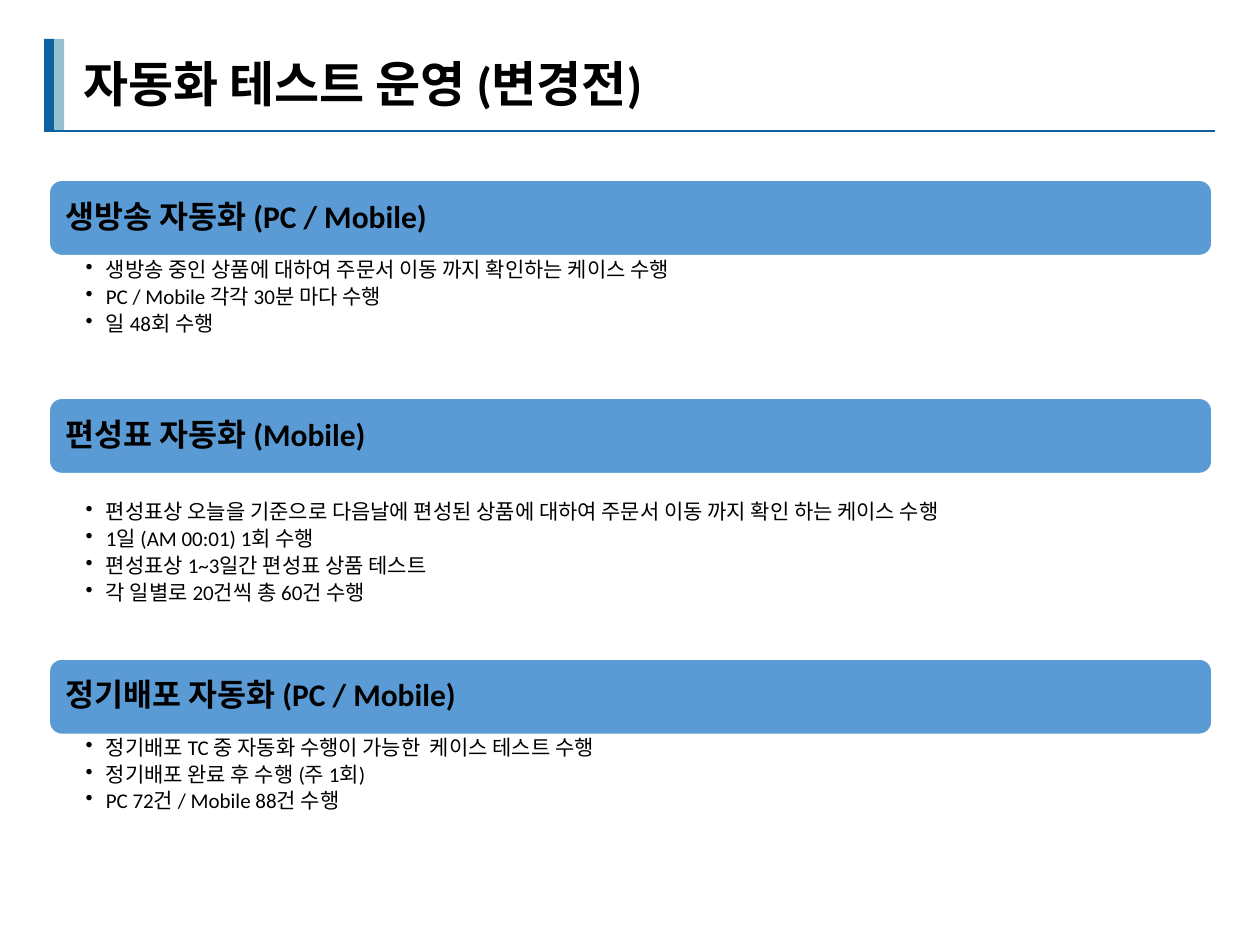
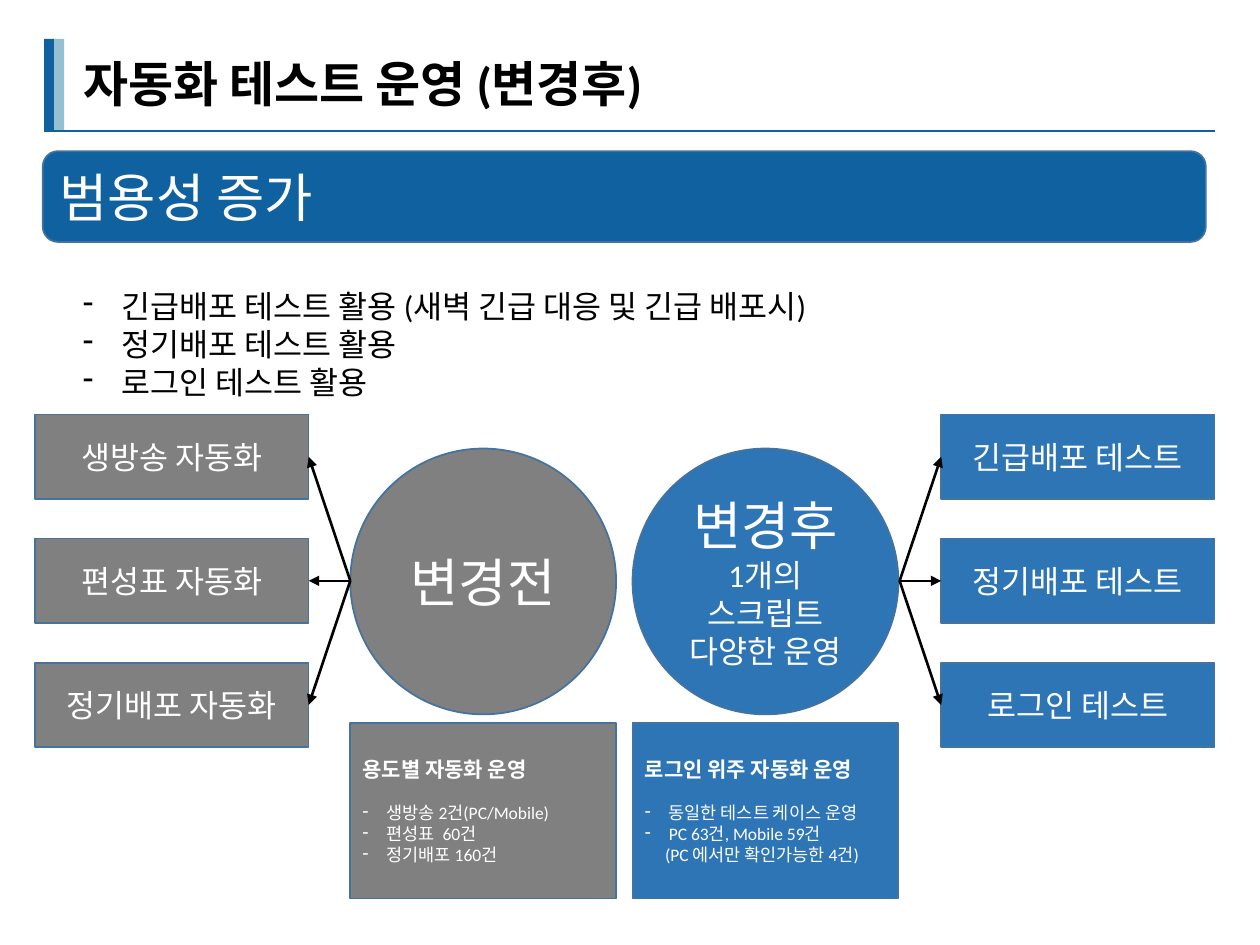
import pptx
import pptx.dml.color
import pptx.enum.shapes
import pptx.enum.text
import pptx.oxml.ns
import pptx.util
from lxml import etree

Inches = pptx.util.Inches
Pt = pptx.util.Pt
SHAPE = pptx.enum.shapes.MSO_SHAPE
ALIGN = pptx.enum.text.PP_ALIGN
qn = pptx.oxml.ns.qn

NAVY, PALE, SKY, BLUE = "0F619F", "96BFD1", "5B9BD5", "2E75B6"
GREY, EDGE, BLACK, WHITE = "808080", "43739E", "000000", "FFFFFF"

MIDDLE = {"vertical_anchor": pptx.enum.text.MSO_ANCHOR.MIDDLE}
CENTRED = {"alignment": ALIGN.CENTER}
TIGHT = {"line_spacing": 0.9}
TIGHT_LIST = {"line_spacing": 0.9, "space_after": Pt(2.4)}
LIST_MARGINS = {"margin_left": Inches(0.29), "margin_right": Inches(0.12),
                "margin_top": Inches(0.02), "margin_bottom": Inches(0.02)}


def rgb(code):
    """Turn a hex string into a colour."""
    return pptx.dml.color.RGBColor.from_string(code)


def apply(target, values):
    """Set every attribute named in a dict of format values."""
    for name, value in values.items():
        setattr(target, name, value)


class Deck:
    """Hold the shared style and the current slide."""

    font = "Calibri"

    def __init__(self):
        """Start an empty presentation of 10 by 7.5 inches."""
        self.file = pptx.Presentation()
        apply(self.file, {"slide_width": Inches(10), "slide_height": Inches(7.5)})
        self.slide = None

    def new_slide(self, heading):
        """Add a slide with its title, side bars and rule."""
        self.slide = self.file.slides.add_slide(self.file.slide_layouts[5])
        self.shape(SHAPE.RECTANGLE, (0.35, 0.31, 0.08, 0.73), NAVY)
        self.shape(SHAPE.RECTANGLE, (0.43, 0.31, 0.08, 0.73), PALE)
        self.line((0.35, 1.04), (9.64, 1.04), NAVY, 1.25)
        title = self.slide.shapes.title
        apply(title, dict(zip(("left", "top", "width", "height"),
                              map(Inches, (0.56, 0.34, 9.09, 0.69)))))
        apply(title.text_frame, {"auto_size": pptx.enum.text.MSO_AUTO_SIZE.NONE, **MIDDLE})
        self.add_lines(title.text_frame, [heading], 28, BLACK, True, TIGHT)

    def shape(self, kind, box, fill, edge=None):
        """Add a filled preset shape and return its text frame."""
        shape = self.slide.shapes.add_shape(kind, *map(Inches, box))
        shape.shadow.inherit = False
        shape.fill.solid()
        shape.fill.fore_color.rgb = rgb(fill)
        if edge:
            shape.line.color.rgb = rgb(edge)
            shape.line.width = Pt(1)
        else:
            shape.line.fill.background()
        apply(shape.text_frame, {"word_wrap": True, **MIDDLE})
        return shape.text_frame

    def text_box(self, box, values):
        """Add a wrapping text box and return its text frame."""
        frame = self.slide.shapes.add_textbox(*map(Inches, box)).text_frame
        apply(frame, {"word_wrap": True, **values})
        return frame

    def line(self, start, end, color, width, arrow=False):
        """Add a straight line, with an arrowhead at its end if asked."""
        line = self.slide.shapes.add_connector(
            pptx.enum.shapes.MSO_CONNECTOR.STRAIGHT, *map(Inches, start + end))
        line.line.color.rgb = rgb(color)
        line.line.width = Pt(width)
        properties = line._element.spPr
        if arrow:
            etree.SubElement(properties.find(qn("a:ln")), qn("a:tailEnd"), type="triangle")
        etree.SubElement(properties, qn("a:effectLst"))

    def add_lines(self, frame, lines, size, color, bold=False, layout=None, bullet=None, hang=0):
        """Append lines to a text frame, one paragraph each."""
        for text in lines:
            paragraph = frame.add_paragraph() if frame.text else frame.paragraphs[0]
            apply(paragraph, {"alignment": ALIGN.LEFT, **(layout or {})})
            run = paragraph.add_run()
            run.text = text
            apply(run.font, {"name": self.font, "size": Pt(size), "bold": bold})
            run.font.color.rgb = rgb(color)
            if hang:
                properties = paragraph._p.get_or_add_pPr()
                properties.set("marL", str(Inches(hang)))
                if bullet:
                    properties.set("indent", str(-Inches(hang)))
                    etree.SubElement(properties, qn("a:buChar"), char=bullet)

    def section(self, top, heading, list_top, list_height, items):
        """Add a heading band with a bullet list below it."""
        band = self.shape(SHAPE.ROUNDED_RECTANGLE, (0.39, top, 9.23, 0.6), SKY, WHITE)
        self.add_lines(band, [heading], 18, BLACK, True, TIGHT)
        details = self.text_box((0.39, list_top, 9.23, list_height), LIST_MARGINS)
        self.add_lines(details, items, 12, BLACK, layout=TIGHT_LIST, bullet="•", hang=0.16)

    def stage(self, left, fill, name, caption, summary, facts, note=()):
        """Add a stage circle with its summary box underneath."""
        circle = self.shape(SHAPE.OVAL, (left, 3.56, 2.11, 2.11), fill, EDGE)
        self.add_lines(circle, [name], 30, WHITE, layout=CENTRED)
        self.add_lines(circle, caption, 18, WHITE, layout=CENTRED)
        box = self.shape(SHAPE.RECTANGLE, (left, 5.74, 2.11, 1.39), fill, EDGE)
        self.add_lines(box, [summary], 12, WHITE, True, {"space_after": Pt(12)})
        self.add_lines(box, facts, 10, WHITE, bullet="-", hang=0.19)
        self.add_lines(box, note, 10, WHITE, hang=0.16)

    def branches(self, left, fill, names, start, end):
        """Add a column of boxes with arrows from a stage circle."""
        for row, name in enumerate(names):
            top = 3.29 + row * 0.985
            box = self.shape(SHAPE.RECTANGLE, (left, top, 2.17, 0.67), fill, EDGE)
            self.add_lines(box, [name], 18, WHITE, layout=CENTRED)
            self.line((start, 4.61), (end, top + 0.335), BLACK, 1.5, arrow=True)


def main():
    """Build both slides and save them."""
    deck = Deck()

    deck.new_slide("자동화 테스트 운영 (변경전)")
    deck.section(1.43, "생방송 자동화 (PC / Mobile)", 2.04, 1.32, [
        "생방송 중인 상품에 대하여 주문서 이동 까지 확인하는 케이스 수행",
        "PC / Mobile 각각 30분 마다 수행",
        "일 48회 수행"])
    deck.section(3.16, "편성표 자동화 (Mobile)", 3.96, 1.27, [
        "편성표상 오늘을 기준으로 다음날에 편성된 상품에 대하여 주문서 이동 까지 확인 하는 케이스 수행",
        "1일 (AM 00:01) 1회 수행",
        "편성표상 1~3일간 편성표 상품 테스트",
        "각 일별로 20건씩 총 60건 수행"])
    deck.section(5.23, "정기배포 자동화 (PC / Mobile)", 5.83, 0.94, [
        "정기배포 TC 중 자동화 수행이 가능한  케이스 테스트 수행",
        "정기배포 완료 후 수행 (주 1회)",
        "PC 72건 / Mobile 88건 수행"])

    deck.new_slide("자동화 테스트 운영 (변경후)")
    benefit = deck.shape(SHAPE.ROUNDED_RECTANGLE, (0.34, 1.2, 9.23, 0.72), NAVY, EDGE)
    deck.add_lines(benefit, ["범용성 증가"], 30, WHITE)
    uses = deck.text_box((0.56, 2.23, 7, 1.01), {})
    deck.add_lines(uses, ["긴급배포 테스트 활용 (새벽 긴급 대응 및 긴급 배포시)",
                          "정기배포 테스트 활용",
                          "로그인 테스트 활용"], 18, BLACK, bullet="-", hang=0.31)
    deck.stage(2.78, GREY, "변경전", [], "용도별 자동화 운영",
               ["생방송 2건(PC/Mobile)", "편성표  60건", "정기배포 160건"])
    deck.stage(5.02, BLUE, "변경후", ["1개의 스크립트 다양한 운영"], "로그인 위주 자동화 운영",
               ["동일한 테스트 케이스 운영", "PC 63건, Mobile 59건"],
               ["(PC 에서만 확인가능한 4건)"])
    deck.branches(0.28, GREY, ["생방송 자동화", "편성표 자동화", "정기배포 자동화"], 2.78, 2.45)
    deck.branches(7.47, BLUE, ["긴급배포 테스트", "정기배포 테스트", "로그인 테스트"], 7.14, 7.47)

    deck.file.save("out.pptx")


if __name__ == "__main__":
    main()
